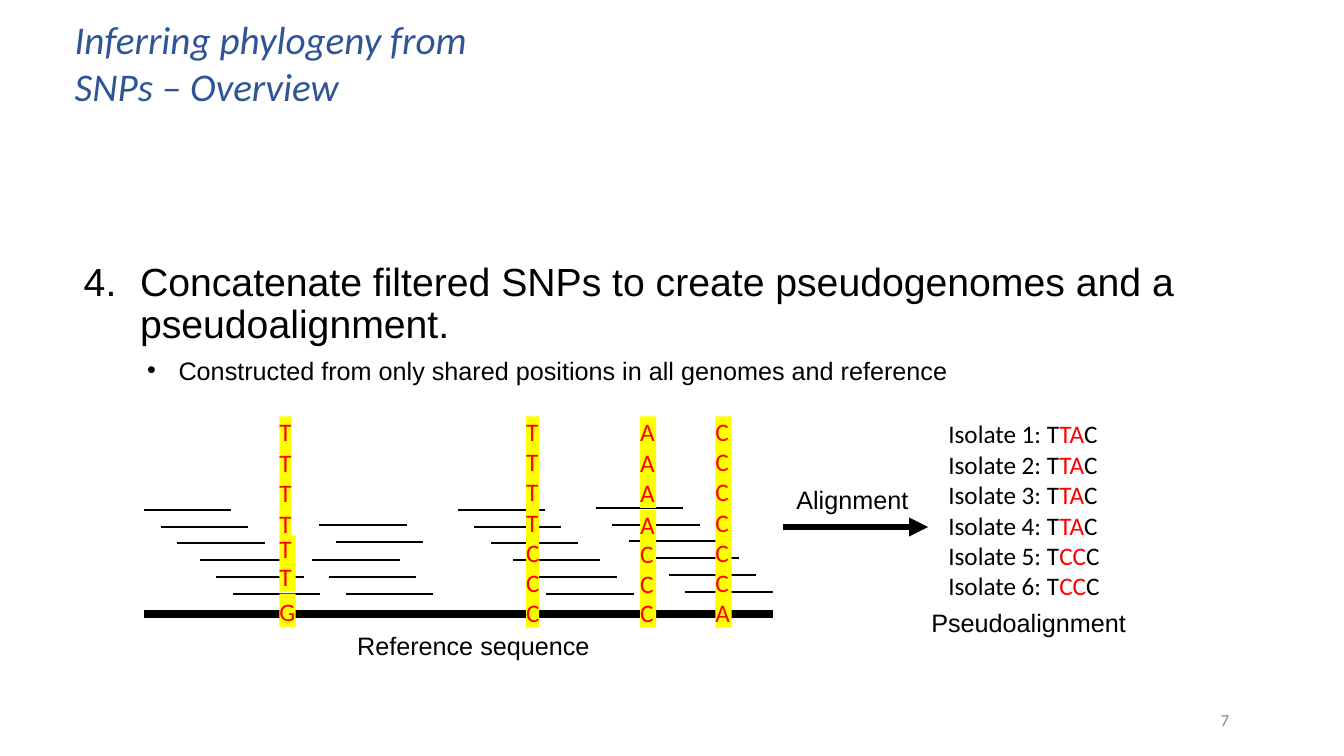
from lxml import etree
from pptx import Presentation
from pptx.dml.color import RGBColor
from pptx.enum.shapes import MSO_CONNECTOR, MSO_SHAPE
from pptx.enum.text import MSO_ANCHOR, MSO_AUTO_SIZE, PP_ALIGN
from pptx.oxml.ns import qn
from pptx.util import Cm, Pt

STRAIGHT = MSO_CONNECTOR.STRAIGHT
RECTANGLE = MSO_SHAPE.RECTANGLE
TOP = MSO_ANCHOR.TOP
NO_AUTOFIT = MSO_AUTO_SIZE.NONE
LEFT = PP_ALIGN.LEFT

COLORS = {"title": "2F5597", "text": "000000", "snp": "FF0000",
          "highlight": "FFFF00", "number": "898989"}

TITLE = "Inferring phylogeny from SNPs – Overview"
STEP = "Concatenate filtered SNPs to create pseudogenomes and a pseudoalignment."
DETAIL = "Constructed from only shared positions in all genomes and reference"

# Lengths in centimetres
READ_LENGTH, READ_STEP = 2.2, 0.42
CASCADES = [  # left, top, number of reads
    (3.63, 12.85, 3), (5.03, 14.12, 3), (8.05, 13.23, 2), (7.87, 14.12, 3),
    (11.53, 12.85, 3), (12.93, 14.12, 3), (15.01, 12.8, 3), (16.43, 14.07, 3),
]
SNP_BLOCKS = [  # left, top, width, height, letters
    (7.04, 10.49, 0.3, 3.07, "TTTT"),
    (7.04, 13.51, 0.41, 1.4, "TT"),
    (7.04, 14.96, 0.41, 0.84, "G"),
    (13.26, 10.49, 0.33, 5.33, "TTTTCCC"),
    (16.13, 10.49, 0.41, 2.31, "AAA"),
    (16.13, 12.85, 0.41, 2.97, "ACCC"),
    (18.03, 10.49, 0.41, 5.33, "CCCCCCA"),
]
ISOLATE_SNPS = ["TA", "TA", "TA", "TA", "CC", "CC"]
LABELS = [  # text, left, top, width, height, font, size, color
    ("Reference sequence", 9.0, 15.85, 5.92, 0.84, "Arial", 18, "text"),
    ("Alignment", 20.07, 12.17, 2.9, 0.84, "Arial", 18, "text"),
    ("7", 30.76, 17.86, 0.69, 0.58, "Calibri", 12, "number"),
]


def color(name):
    return RGBColor.from_string(COLORS[name])


def style(span, font, size, color_name):
    span.font.name = font
    span.font.size = Pt(size)
    span.font.color.rgb = color(color_name)


def prepare(shape, inset=0):
    frame = shape.text_frame
    frame.word_wrap = True
    frame.auto_size = NO_AUTOFIT
    frame.vertical_anchor = TOP
    frame.margin_left = frame.margin_right = frame.margin_bottom = 0
    frame.margin_top = Cm(inset)
    return frame


def place(shape, left, top, width, height):
    shape.left, shape.top = Cm(left), Cm(top)
    shape.width, shape.height = Cm(width), Cm(height)


def add_text_box(left, top, width, height):
    box = slide.shapes.add_textbox(Cm(left), Cm(top), Cm(width), Cm(height))
    return prepare(box, 0.03)


def add_line(left, right, y, weight):
    line = slide.shapes.add_connector(STRAIGHT, Cm(left), Cm(y), Cm(right), Cm(y))
    line.line.color.rgb = color("text")
    line.line.width = Pt(weight)
    etree.SubElement(line._element.spPr, qn("a:effectLst"))
    return line


def set_bullet(para, margin, indent, tag, **attributes):
    """Hang the paragraph and give it a bullet or number element."""
    properties = para._p.get_or_add_pPr()
    properties.set("marL", str(Cm(margin)))
    properties.set("indent", str(Cm(indent)))
    etree.SubElement(properties, qn(tag), attributes)


def fill_title():
    title = slide.shapes.title
    place(title, 1.88, 0.36, 11.89, 2.54)
    frame = prepare(title, 0.03)
    frame.text = TITLE
    para = frame.paragraphs[0]
    para.alignment = LEFT
    span = para.runs[0]
    style(span, "Calibri", 28, "title")
    span.font.italic = True


def fill_body():
    body = slide.placeholders[1]
    place(body, 2.06, 6.43, 27.64, 3.3)
    frame = prepare(body, 0.18)
    frame.text = STEP
    step = frame.paragraphs[0]
    step.line_spacing = Pt(30)
    step.space_before = Pt(5)
    style(step.runs[0], "Arial", 28, "text")
    set_bullet(step, 1.47, -1.42, "a:buAutoNum", type="arabicPeriod", startAt="4")
    detail = frame.add_paragraph()
    detail.text = DETAIL
    detail.level = 1
    detail.space_before = Pt(6.2)
    style(detail.runs[0], "Arial", 18, "text")
    set_bullet(detail, 2.44, -0.79, "a:buChar", char="•")


def add_reads():
    add_line(3.63, 19.48, 15.47, 6)
    for left, top, count in CASCADES:
        for index in range(count):
            shift = index * READ_STEP
            add_line(left + shift, left + shift + READ_LENGTH, top + shift, 1.5)


def add_snp_block(left, top, width, height, letters):
    block = slide.shapes.add_shape(RECTANGLE, Cm(left), Cm(top), Cm(width), Cm(height))
    block.shadow.inherit = False
    block.fill.solid()
    block.fill.fore_color.rgb = color("highlight")
    block.line.fill.background()
    frame = prepare(block)
    frame.text = "\n".join(letters)
    for para in frame.paragraphs:
        para.alignment = LEFT
        para.line_spacing = Pt(round(Cm(height).pt / len(letters), 1))
        style(para.runs[0], "Calibri", 18, "snp")


def add_pseudoalignment():
    frame = add_text_box(23.47, 10.52, 4.98, 5.56)
    for number, snps in enumerate(ISOLATE_SNPS, 1):
        para = frame.paragraphs[0] if number == 1 else frame.add_paragraph()
        para.line_spacing = Pt(21.7)
        para._p.get_or_add_pPr().set("marL", str(Cm(0.43)))
        for text, color_name in ((f"Isolate {number}: T", "text"), (snps, "snp"), ("C", "text")):
            span = para.add_run()
            span.text = text
            style(span, "Calibri", 18, color_name)
    caption = frame.add_paragraph()
    caption.text = "Pseudoalignment"
    caption.space_before = Pt(4.3)
    style(caption.runs[0], "Arial", 18, "text")


deck = Presentation()
deck.slide_width, deck.slide_height = Cm(33.87), Cm(19.05)
slide = deck.slides.add_slide(deck.slide_layouts[1])

fill_title()
fill_body()
add_reads()
for snp_block in SNP_BLOCKS:
    add_snp_block(*snp_block)
add_pseudoalignment()

arrow = add_line(19.74, 23.39, 13.28, 4.5)
etree.SubElement(arrow.line._get_or_add_ln(), qn("a:tailEnd"), type="triangle")

for text, left, top, width, height, font, size, color_name in LABELS:
    label = add_text_box(left, top, width, height)
    label.text = text
    style(label.paragraphs[0].runs[0], font, size, color_name)

deck.save("out.pptx")
